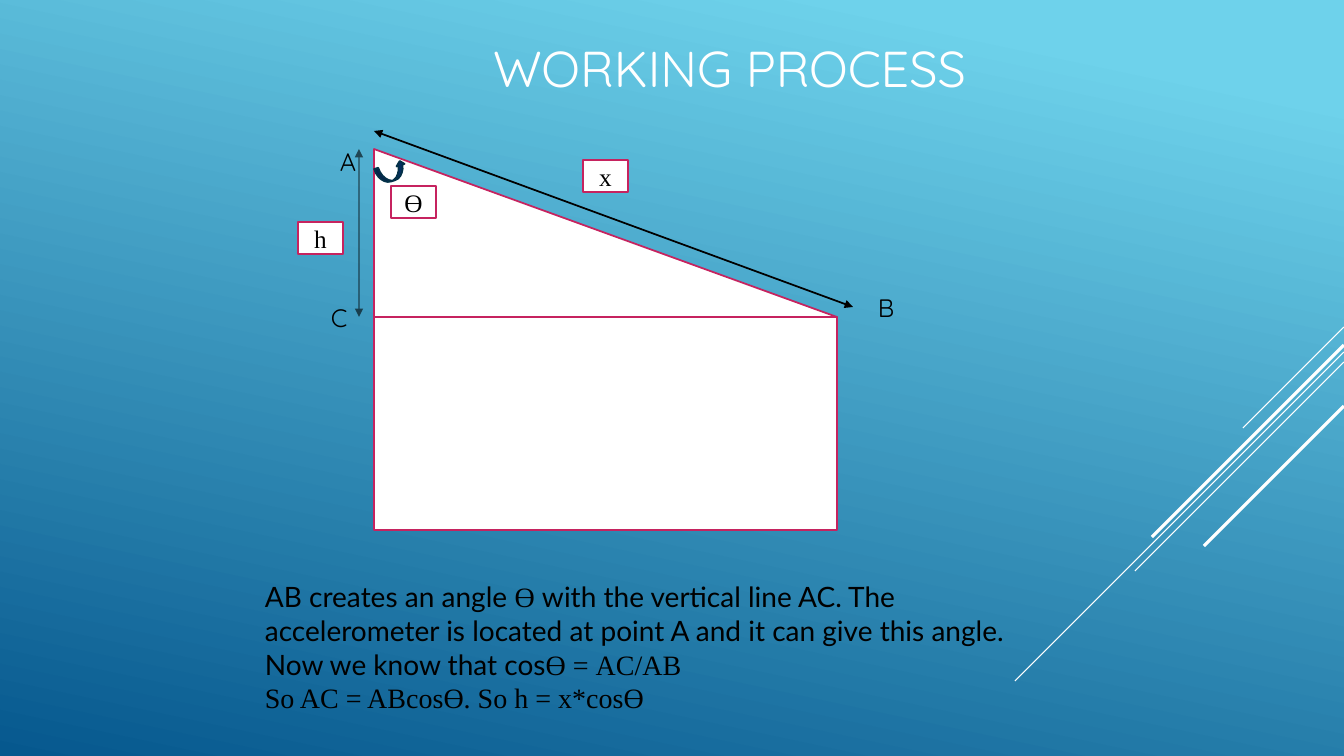
from lxml import etree
from pptx import Presentation
from pptx import util as u
from pptx.dml.color import RGBColor
from pptx.enum import shapes, text
from pptx.oxml.ns import qn

EMU_PER_PIXEL = 914400 / 100.8
WHITE, BLACK, CRIMSON = "FFFFFF", "000000", "C6235F"
SANS, SERIF, BODY = "Quicksand", "Times New Roman", "Lato"
THETA = "\u03f4"


def px(value):
    """Turn picture pixels into EMU."""
    return u.Emu(round(value * EMU_PER_PIXEL))


def color(code):
    """Turn a hex string into a colour."""
    return RGBColor.from_string(code)


def assign(target, values):
    """Set each attribute named in a dict."""
    for name, value in values.items():
        setattr(target, name, value)


class SlideBuilder:
    """Holds the style and the current slide."""

    def __init__(self, deck):
        """Add a title-only slide."""
        self.slide = deck.slides.add_slide(deck.slide_layouts[5])
        self.items = self.slide.shapes

    def background(self, stops, angle):
        """Paint a linear gradient, its angle counted clockwise."""
        fill = self.slide.background.fill
        fill.gradient()
        fill.gradient_angle = 360 - angle
        for stop, (position, code) in zip(fill.gradient_stops, stops):
            stop.position = position
            stop.color.rgb = color(code)

    def spans(self, para, pieces, size, code=BLACK):
        """Write (words, font) pieces as runs; None makes a line break."""
        for piece in pieces:
            if piece is None:
                para.add_line_break()
                continue
            span = para.add_run()
            span.text, name = piece
            assign(span.font, {"name": name, "size": u.Pt(size), "bold": False})
            span.font.color.rgb = color(code)

    def title(self, words, bounds, indent):
        """Fill and place the title placeholder."""
        box = self.items.title
        assign(box, dict(zip(("left", "top", "width", "height"), map(px, bounds))))
        assign(box.text_frame, {"margin_left": px(indent), "word_wrap": True,
                                "auto_size": text.MSO_AUTO_SIZE.NONE,
                                "vertical_anchor": text.MSO_ANCHOR.TOP})
        para = box.text_frame.paragraphs[0]
        para.alignment = text.PP_ALIGN.LEFT
        self.spans(para, [(words, SANS)], 36, WHITE)

    def text_box(self, pieces, bounds, size=18):
        """Add a wrapping text box."""
        box = self.items.add_textbox(*map(px, bounds))
        assign(box.text_frame, {"word_wrap": True,
                                "auto_size": text.MSO_AUTO_SIZE.SHAPE_TO_FIT_TEXT})
        self.spans(box.text_frame.paragraphs[0], pieces, size)

    def shape(self, kind, bounds, fill=WHITE, line=CRIMSON, rotation=0):
        """Add a filled, outlined preset shape."""
        box = self.items.add_shape(kind, *map(px, bounds))
        box.shadow.inherit = False
        box.rotation = rotation
        box.fill.solid()
        box.fill.fore_color.rgb = color(fill)
        box.line.color.rgb = color(line)
        box.line.width = u.Pt(1.25)
        return box

    def label(self, words, left, top):
        """Add a small framed symbol."""
        box = self.shape(shapes.MSO_SHAPE.FLOWCHART_PROCESS, (left, top, 45, 32))
        box.text_frame.vertical_anchor = text.MSO_ANCHOR.MIDDLE
        para = box.text_frame.paragraphs[0]
        para.alignment = text.PP_ALIGN.CENTER
        self.spans(para, [(words, SERIF)], 18)

    def line(self, ends, code, width, arrows=False, opacity=100):
        """Add a straight line, with arrowheads at both ends if asked."""
        link = self.items.add_connector(shapes.MSO_CONNECTOR.STRAIGHT, *map(px, ends))
        link.line.color.rgb = color(code)
        link.line.width = u.Pt(width)
        properties = link.line._get_or_add_ln()
        if opacity < 100:
            tint = properties.find(".//" + qn("a:srgbClr"))
            etree.SubElement(tint, qn("a:alpha"), val=str(opacity * 1000))
        if arrows:
            for end in ("a:headEnd", "a:tailEnd"):
                etree.SubElement(properties, qn(end), type="triangle")
        etree.SubElement(link._element.spPr, qn("a:effectLst"))


deck = Presentation()
deck.slide_width, deck.slide_height = px(1344), px(756)
page = SlideBuilder(deck)
page.background([(0.1, "6ED2EB"), (1, "06588E")], 102)

# Diagonal rays running down from the right edge: start height, run, width
for top, run, width in [(327, 101, 0.75), (352, 329, 0.75), (362, 209, 0.75),
                        (345, 192, 2.25), (406, 140, 2.25)]:
    page.line((1344, top, 1344 - run, top + run), WHITE, width)

page.title("WORKING PROCESS", (70, 32, 948, 130), 423)

# Inclined plane on its base
LEFT, APEX, CORNER, WIDTH = 374, 149, 317, 463
page.shape(shapes.MSO_SHAPE.FLOWCHART_PROCESS, (LEFT, CORNER, WIDTH, 213))
page.shape(shapes.MSO_SHAPE.RIGHT_TRIANGLE, (LEFT, APEX, WIDTH, CORNER - APEX))
page.shape(shapes.MSO_SHAPE.CURVED_UP_ARROW, (376, 164, 31, 17),
           "052F61", "043148", 342.5)

# Dimensions and their symbols
page.line((359, APEX, 359, CORNER), BLACK, 0.75, True, 60)
page.line((LEFT, 131, 853, 307), BLACK, 1.25, True)
for symbol, left, top in [(THETA, 391, 186), ("h", 298, 222), ("x", 583, 160)]:
    page.label(symbol, left, top)
for point, left, top in [("C", 321, 297), ("A", 330, 141), ("B", 868, 287)]:
    page.text_box([(point, SANS)], (left, top, 45, 40))

page.text_box([
    ("AB creates an angle ", BODY), (THETA, SERIF),
    (" with the vertical line AC. The accelerometer is located at point A "
     "and it can give this angle. Now we know that cos", BODY),
    (f"{THETA} = AC/AB", SERIF), None,
    (f"So AC = ABcos{THETA}. So h = x*cos{THETA}", SERIF),
], (255, 575, 774, 146), 20)

deck.save("out.pptx")
